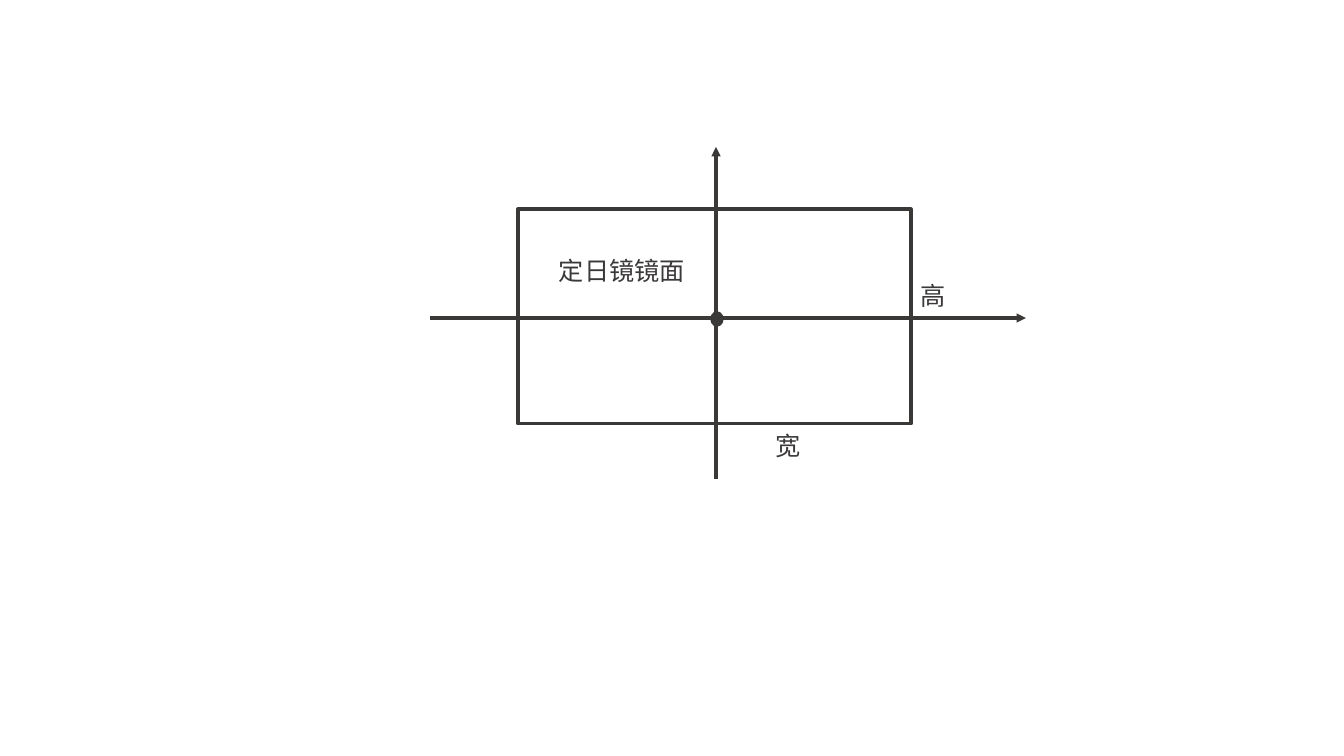
from dataclasses import dataclass

from lxml import etree
from pptx import Presentation
from pptx import util as u
from pptx.dml.color import RGBColor
from pptx.enum import shapes, text
from pptx.oxml.ns import qn

EMU_PER_PX = 914400 / 100.8


@dataclass(frozen=True)
class Theme:
    ink: RGBColor = RGBColor.from_string("3B3838")
    background: RGBColor = RGBColor.from_string("FFFFFF")
    font: str = "Noto Sans CJK SC"
    label_size: float = 18
    outline: float = 2.25
    dot_outline: float = 1


theme = Theme()


def px(*lengths):
    """Turn pixel lengths into a list of EMU."""
    return [u.Emu(round(length * EMU_PER_PX)) for length in lengths]


def set_line(shape, width):
    shape.line.color.rgb = theme.ink
    shape.line.width = u.Pt(width)


presentation = Presentation()
presentation.slide_width, presentation.slide_height = px(1344, 756)
slide = presentation.slides.add_slide(presentation.slide_layouts[6])
slide.background.fill.solid()
slide.background.fill.fore_color.rgb = theme.background

# Mirror surface
mirror = slide.shapes.add_shape(shapes.MSO_SHAPE.RECTANGLE, *px(518, 209, 393, 215))
mirror.shadow.inherit = False
mirror.fill.background()
set_line(mirror, theme.outline)

# Axes, each ending in an arrowhead
for ends in [(430, 318, 1026, 318), (716, 479, 716, 147)]:
    axis = slide.shapes.add_connector(shapes.MSO_CONNECTOR.STRAIGHT, *px(*ends))
    set_line(axis, theme.outline)
    etree.SubElement(axis.line._get_or_add_ln(), qn("a:tailEnd"), type="triangle")
    etree.SubElement(axis._element.spPr, qn("a:effectLst"))

# Labels
for caption, left, top, width in [
    ("定日镜镜面", 549, 250, 166),
    ("高", 911, 275, 46),
    ("宽", 766, 425, 46),
]:
    label = slide.shapes.add_textbox(*px(left, top, width, 40))
    frame = label.text_frame
    frame.text = caption
    frame.word_wrap = False
    frame.auto_size = text.MSO_AUTO_SIZE.SHAPE_TO_FIT_TEXT
    run = frame.paragraphs[0].runs[0]
    run.font.name = theme.font
    run.font.size = u.Pt(theme.label_size)
    run.font.color.rgb = theme.ink
    etree.SubElement(run.font._element, qn("a:ea"), typeface=theme.font)

# Centre point
centre = slide.shapes.add_shape(shapes.MSO_SHAPE.OVAL, *px(711, 312, 12, 14))
centre.shadow.inherit = False
centre.fill.solid()
centre.fill.fore_color.rgb = theme.ink
set_line(centre, theme.dot_outline)

presentation.save("out.pptx")
